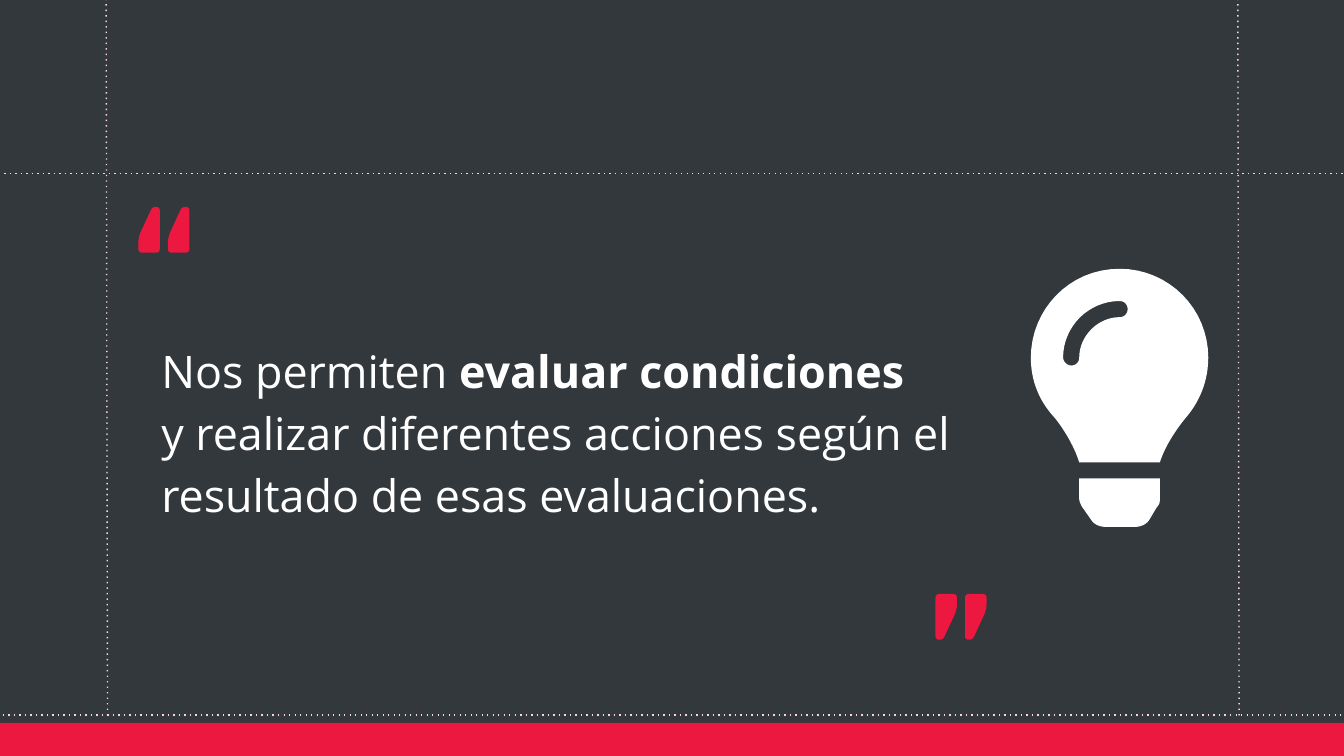
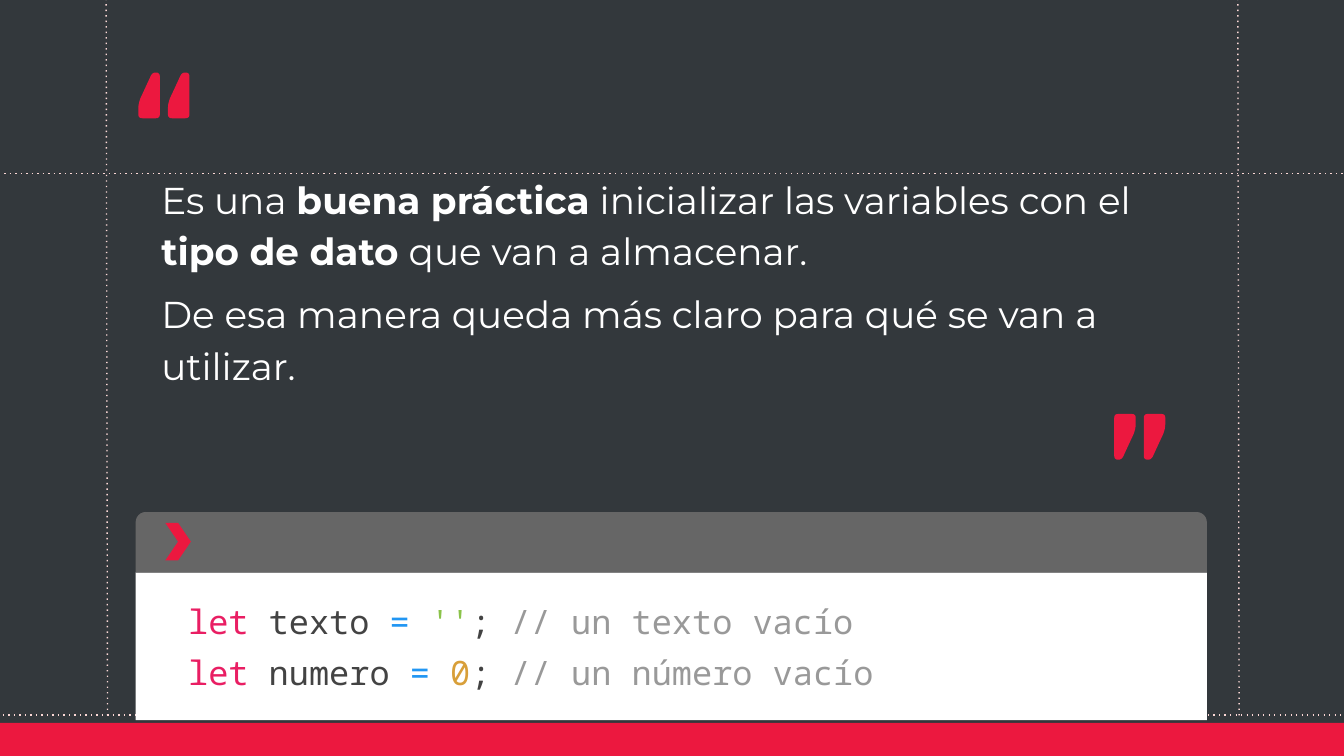
from lxml.etree import SubElement
from pptx import Presentation
from pptx.dml.color import RGBColor
from pptx.enum.shapes import MSO_CONNECTOR, MSO_SHAPE
from pptx.enum.text import MSO_ANCHOR, MSO_AUTO_SIZE, PP_ALIGN
from pptx.oxml.ns import qn
from pptx.util import Inches, Pt

COLORS = {
    "background": "33383C", "guide": "FCD8D6", "accent": "EC183F",
    "white": "FFFFFF", "bar": "666666", "keyword": "E91E63",
    "name": "434343", "operator": "2196F3", "string": "8BC34A",
    "number": "D89F39", "comment": "999999",
}
GUIDES = [
    (0.79, -0.01, 0.8, 5.33), (9.21, -0.01, 9.22, 5.33),
    (-0.01, 1.29, 10.03, 1.29), (-0.02, 5.32, 10.02, 5.32),
]
QUOTE_STEP = 0.22
CURVE_STEPS = 16

QUOTE_MARK = [
    [(0.13, 0), (0.11, 0, 0.1, 0.01, 0.09, 0.03), (0.03, 0.16),
     (0.01, 0.2, 0, 0.23, 0, 0.27), (0, 0.31),
     (0, 0.33, 0.01, 0.34, 0.03, 0.34), (0.13, 0.34),
     (0.15, 0.34, 0.16, 0.33, 0.16, 0.31), (0.16, 0.03),
     (0.16, 0.01, 0.15, 0, 0.13, 0)],
]
BULB = [
    [(0.36, 1.71), (0.36, 1.73, 0.37, 1.75, 0.38, 1.77), (0.45, 1.87),
     (0.47, 1.9, 0.51, 1.92, 0.55, 1.92), (0.78, 1.92),
     (0.82, 1.92, 0.86, 1.9, 0.88, 1.87), (0.94, 1.77),
     (0.96, 1.75, 0.96, 1.73, 0.96, 1.71), (0.96, 1.56), (0.36, 1.56)],
    [(0, 0.66), (0, 0.83, 0.06, 0.98, 0.17, 1.1),
     (0.23, 1.17, 0.32, 1.31, 0.36, 1.44), (0.96, 1.44),
     (1, 1.31, 1.1, 1.17, 1.16, 1.1), (1.26, 0.98, 1.32, 0.83, 1.32, 0.66),
     (1.32, 0.3, 1.03, 0, 0.66, 0), (0.28, 0, 0, 0.31, 0, 0.66)],
    [(0.66, 0.36), (0.5, 0.36, 0.36, 0.5, 0.36, 0.66),
     (0.36, 0.69, 0.34, 0.72, 0.3, 0.72), (0.27, 0.72, 0.24, 0.69, 0.24, 0.66),
     (0.24, 0.43, 0.43, 0.24, 0.66, 0.24), (0.7, 0.24, 0.72, 0.27, 0.72, 0.3),
     (0.72, 0.33, 0.7, 0.36, 0.66, 0.36)],
]


def color(name):
    return RGBColor.from_string(COLORS[name])


def paint(shape, fill):
    shape.shadow.inherit = False
    shape.fill.solid()
    shape.fill.fore_color.rgb = color(fill)
    shape.line.fill.background()
    return shape


def add_block(slide, kind, box, fill):
    return paint(slide.shapes.add_shape(kind, *map(Inches, box)), fill)


def add_guide(slide, x1, y1, x2, y2):
    guide = slide.shapes.add_connector(
        MSO_CONNECTOR.STRAIGHT, *map(Inches, (x1, y1, x2, y2)))
    guide.line.color.rgb = color("guide")
    guide.line.width = Pt(0.75)
    properties = guide._element.spPr
    SubElement(properties.find(qn("a:ln")), qn("a:prstDash")).set("val", "dot")
    SubElement(properties, qn("a:effectLst"))


def flatten(contour):
    """Turn a start point, line ends and cubic curves into a list of points."""
    points = [contour[0]]
    for step in contour[1:]:
        if len(step) == 2:
            points.append(step)
            continue
        controls = [points[-1], step[:2], step[2:4], step[4:]]
        for i in range(1, CURVE_STEPS + 1):
            t = i / CURVE_STEPS
            weights = ((1 - t) ** 3, 3 * t * (1 - t) ** 2,
                       3 * t ** 2 * (1 - t), t ** 3)
            points.append(tuple(
                sum(w * p[axis] for w, p in zip(weights, controls))
                for axis in (0, 1)))
    return points


def add_outline(slide, contours, left, top, fill):
    builder = None
    for contour in contours:
        start, *rest = [(Inches(left + x), Inches(top + y))
                        for x, y in flatten(contour)]
        if builder is None:
            builder = slide.shapes.build_freeform(*start)
        else:
            builder.move_to(*start)
        builder.add_line_segments(rest, close=True)
    return paint(builder.convert_to_shape(), fill)


def add_quotes(slide, left, top, rotation=0):
    marks = [add_outline(slide, QUOTE_MARK, left + i * QUOTE_STEP, top, "accent")
             for i in range(2)]
    for mark in marks:
        mark.rotation = rotation
    slide.shapes.add_group_shape(marks)


def add_run(paragraph, text, font, size, fill, bold=False):
    run = paragraph.add_run()
    run.text = text
    run.font.name = font
    run.font.size = Pt(size)
    run.font.bold = bold
    run.font.color.rgb = color(fill)


def next_paragraph(frame, index):
    paragraph = frame.paragraphs[0] if index == 0 else frame.add_paragraph()
    paragraph.alignment = PP_ALIGN.LEFT
    paragraph.space_before = Pt(6)
    return paragraph


def fill_statement(slide, box, paragraphs, font, size):
    """Write the quoted text; each piece is (text, bold), None breaks the line."""
    statement = slide.placeholders[1]
    statement.left, statement.top, statement.width, statement.height = map(Inches, box)
    frame = statement.text_frame
    frame.word_wrap = True
    frame.auto_size = MSO_AUTO_SIZE.NONE
    frame.vertical_anchor = MSO_ANCHOR.MIDDLE
    for index, pieces in enumerate(paragraphs):
        paragraph = next_paragraph(frame, index)
        paragraph.line_spacing = 1.15
        properties = paragraph._p.get_or_add_pPr()
        properties.set("marL", "0")
        properties.set("indent", "0")
        SubElement(properties, qn("a:buNone"))
        for piece in pieces:
            if piece is None:
                paragraph.add_line_break()
            else:
                text, bold = piece
                add_run(paragraph, text, font, size, "white", bold)


def add_code_window(slide, lines):
    editor = add_block(slide, MSO_SHAPE.RECTANGLE, (1.01, 4.26, 7.97, 1.1), "white")
    frame = editor.text_frame
    frame.word_wrap = True
    frame.vertical_anchor = MSO_ANCHOR.MIDDLE
    frame.margin_left, frame.margin_right = Inches(0.39), 0
    frame.margin_top = frame.margin_bottom = Inches(0.1)
    for index, tokens in enumerate(lines):
        paragraph = next_paragraph(frame, index)
        for text, role in tokens:
            add_run(paragraph, text, "Noto Sans Mono", 18, role)
    bar = add_block(slide, MSO_SHAPE.ROUND_2_SAME_RECTANGLE,
                    (1.01, 3.81, 7.97, 0.45), "bar")
    bar.adjustments[0] = 0.167
    prompt = add_block(slide, MSO_SHAPE.CHEVRON, (1.23, 3.89, 0.19, 0.28), "accent")
    slide.shapes.add_group_shape([editor, bar, prompt])


def declaration(name, value, role, note):
    return [("let ", "keyword"), (name + " ", "name"), ("= ", "operator"),
            (value, role), ("; ", "name"), ("// " + note, "comment")]


def add_slide(prs):
    slide = prs.slides.add_slide(prs.slide_layouts[1])
    title = slide.shapes.title._element
    title.getparent().remove(title)
    for guide in GUIDES:
        add_guide(slide, *guide)
    add_block(slide, MSO_SHAPE.RECTANGLE, (-0.02, 5.38, 10.03, 0.27), "accent")
    return slide


def main():
    prs = Presentation()
    prs.slide_width = Inches(10)
    prs.slide_height = Inches(10 * 9 / 16)
    backdrop = prs.slide_master.background.fill
    backdrop.solid()
    backdrop.fore_color.rgb = color("background")

    conditions = add_slide(prs)
    fill_statement(conditions, (1.1, 2.08, 6.49, 2.22), [
        [("Nos permiten ", False), ("evaluar condiciones ", True), None,
         ("y realizar diferentes acciones según el resultado de esas "
          "evaluaciones.", False)],
    ], "Open Sans", 24)
    add_outline(conditions, BULB, 7.67, 2, "white")
    add_quotes(conditions, 1.03, 1.54)
    add_quotes(conditions, 6.96, 4.42, 180)

    practice = add_slide(prs)
    fill_statement(practice, (1.1, 1, 7.69, 2.15), [
        [("Es una ", False), ("buena práctica", True),
         (" inicializar las variables con el ", False),
         ("tipo de dato", True), (" que van a almacenar.", False)],
        [("De esa manera queda más claro para qué se van a utilizar.", False)],
    ], "Montserrat", 20)
    add_quotes(practice, 1.03, 0.54)
    add_quotes(practice, 8.29, 3.08, 180)
    add_code_window(practice, [
        declaration("texto", "''", "string", "un texto vacío"),
        declaration("numero", "0", "number", "un número vacío"),
    ])

    prs.save("out.pptx")


if __name__ == "__main__":
    main()
